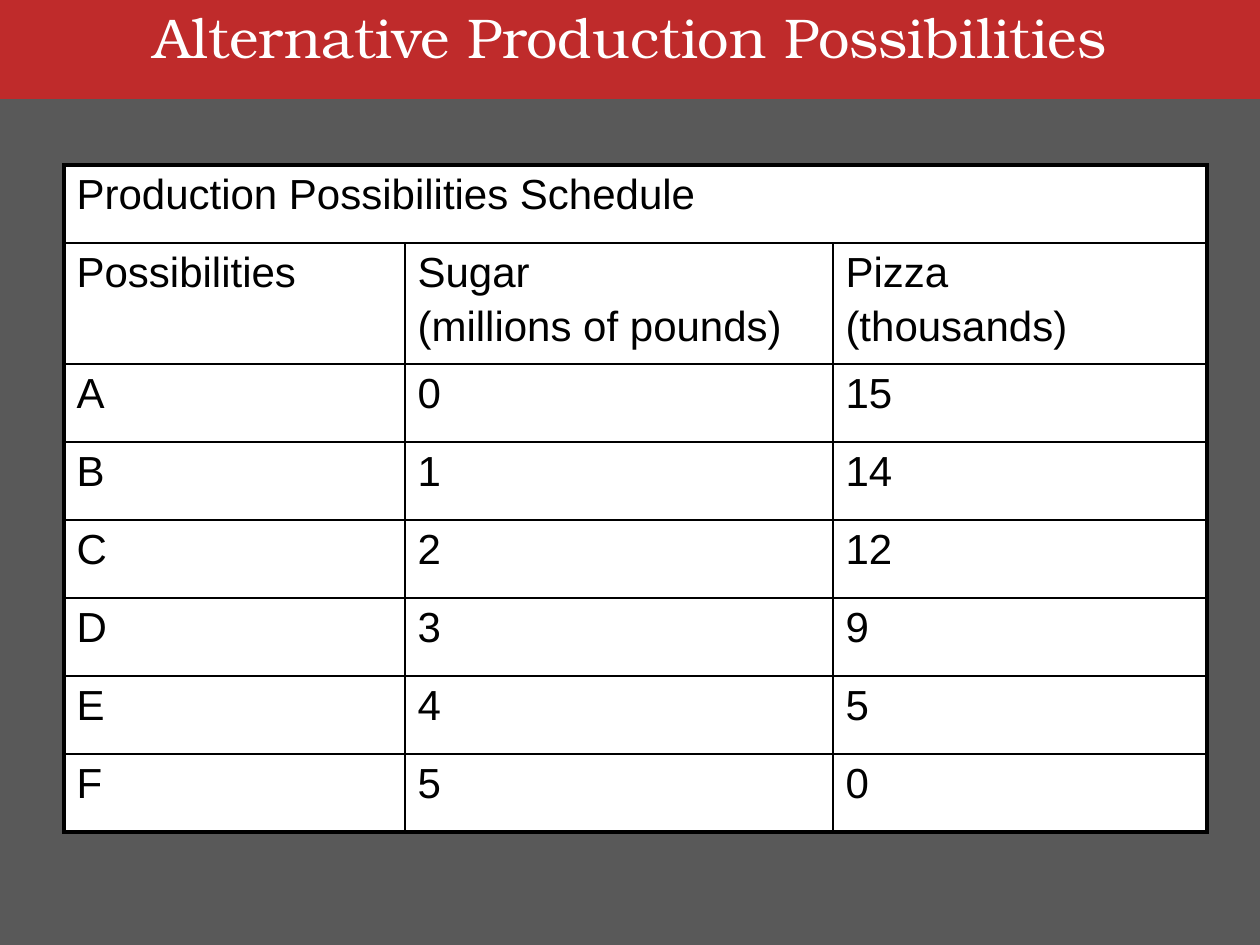
from lxml import etree
from pptx import Presentation
from pptx.dml.color import RGBColor
from pptx.enum.shapes import MSO_SHAPE
from pptx.enum.text import MSO_ANCHOR, PP_ALIGN
from pptx.oxml.ns import qn
from pptx.util import Emu, Pt

RECT = MSO_SHAPE.RECTANGLE
TOP = MSO_ANCHOR.TOP
CENTER = PP_ALIGN.CENTER

SCALE = 914400 / 126
GRAY = RGBColor(0x59, 0x59, 0x59)
RED = RGBColor(0xBF, 0x2B, 0x2B)
WHITE = RGBColor(0xFF, 0xFF, 0xFF)
BLACK = RGBColor(0, 0, 0)

HEAD = {"name": "TeX Gyre Bonum", "size": Pt(32), "bold": False}
BODY = {"name": "Arial", "size": Pt(24), "bold": False}
THIN, THICK = Pt(1), Pt(2.25)

COLS = [341, 428, 374]
ROWS = [78, 121] + [78] * 6
DATA = [
    ["Production Possibilities Schedule", "", ""],
    ["Possibilities", "Sugar\n(millions of pounds)", "Pizza\n(thousands)"],
    ["A", "0", "15"],
    ["B", "1", "14"],
    ["C", "2", "12"],
    ["D", "3", "9"],
    ["E", "4", "5"],
    ["F", "5", "0"],
]


def px(n):
    return Emu(round(n * SCALE))


def style(font, form, color):
    for key, val in form.items():
        setattr(font, key, val)
    font.color.rgb = color


def add_band(slide, box):
    band = slide.shapes.add_shape(RECT, *map(px, box))
    band.shadow.inherit = False
    band.fill.solid()
    band.fill.fore_color.rgb = RED
    band.line.fill.background()
    slide.shapes._spTree.insert(2, band._element)


def set_title(slide, text, box):
    title = slide.shapes.title
    for key, val in zip(("left", "top", "width", "height"), box):
        setattr(title, key, px(val))
    frame = title.text_frame
    frame.text = text
    frame.word_wrap = True
    frame.vertical_anchor = TOP
    para = frame.paragraphs[0]
    para.alignment = CENTER
    style(para.runs[0].font, HEAD, WHITE)


def add_edge(cell, side, width):
    props = cell._tc.get_or_add_tcPr()
    line = etree.SubElement(props, qn(f"a:ln{side}"), w=str(width))
    fill = etree.SubElement(line, qn("a:solidFill"))
    etree.SubElement(fill, qn("a:srgbClr"), val=str(BLACK))


def fill_cell(cell, text, outer):
    for side in "LRTB":
        add_edge(cell, side, THICK if side in outer else THIN)
    cell.fill.solid()
    cell.fill.fore_color.rgb = WHITE
    cell.text = text
    for i, para in enumerate(cell.text_frame.paragraphs):
        para.space_before = Pt(4 if i else 0)
        style(para.font, BODY, BLACK)
        for run in para.runs:
            style(run.font, BODY, BLACK)


def add_grid(slide, left, top):
    box = left, top, sum(COLS), sum(ROWS)
    grid = slide.shapes.add_table(len(ROWS), len(COLS), *map(px, box)).table
    grid.first_row = grid.horz_banding = False
    for col, width in zip(grid.columns, COLS):
        col.width = px(width)
    for row, height in zip(grid.rows, ROWS):
        row.height = px(height)
    last_row, last_col = len(ROWS) - 1, len(COLS) - 1
    for r, texts in enumerate(DATA):
        for c, text in enumerate(texts):
            ends = {"L": c == 0, "R": c == last_col or r == 0,
                    "T": r == 0, "B": r == last_row}
            outer = [side for side, end in ends.items() if end]
            fill_cell(grid.cell(r, c), text, outer)
    grid.cell(0, 0).merge(grid.cell(0, last_col))


def main():
    deck = Presentation()
    deck.slide_width, deck.slide_height = px(1260), px(945)
    slide = deck.slides.add_slide(deck.slide_layouts[5])
    back = slide.background.fill
    back.solid()
    back.fore_color.rgb = GRAY
    add_band(slide, (0, 0, 1260, 99))
    set_title(slide, "Alternative Production Possibilities", (64, -4, 1133, 149))
    add_grid(slide, 64, 165)
    deck.save("out.pptx")


if __name__ == "__main__":
    main()
